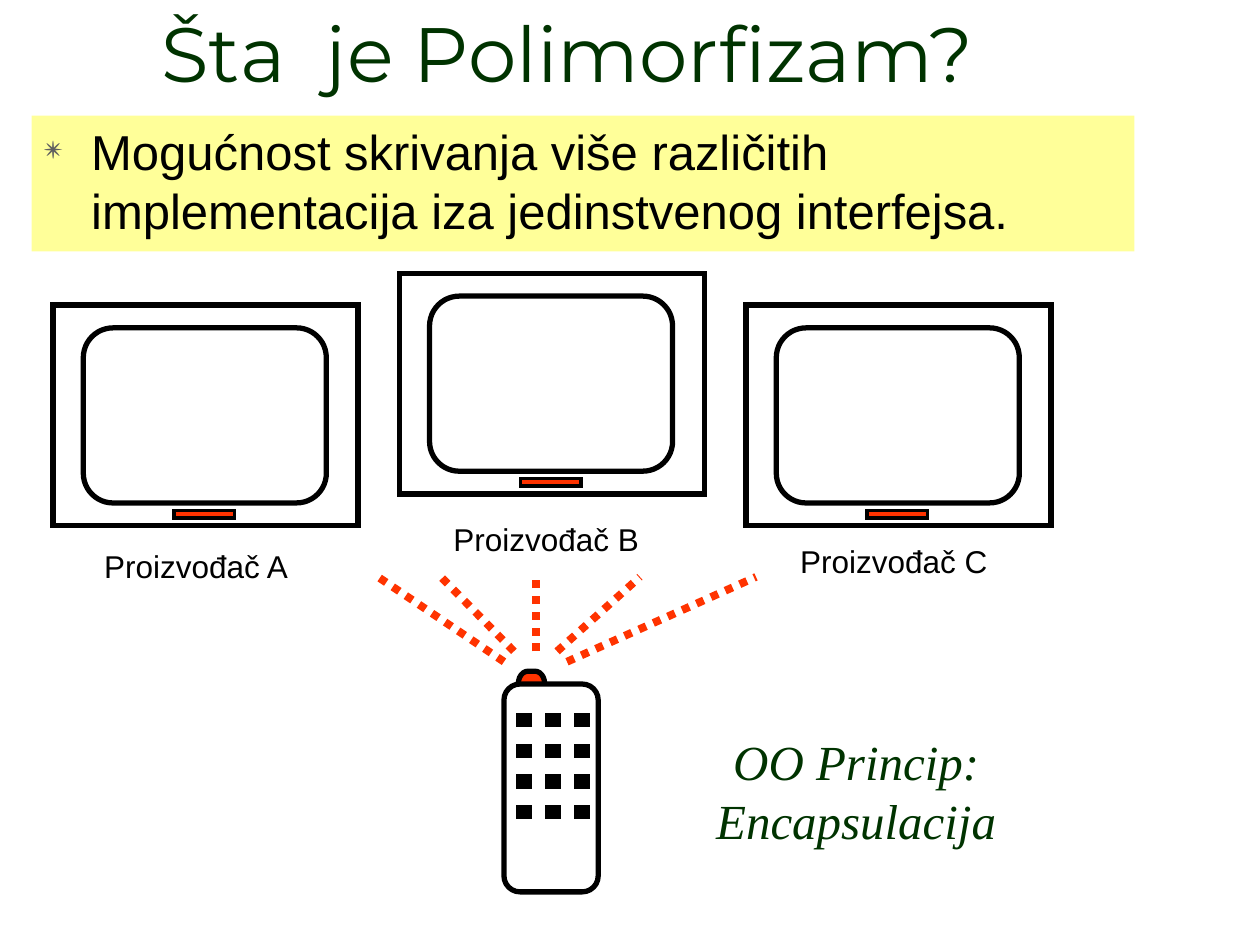
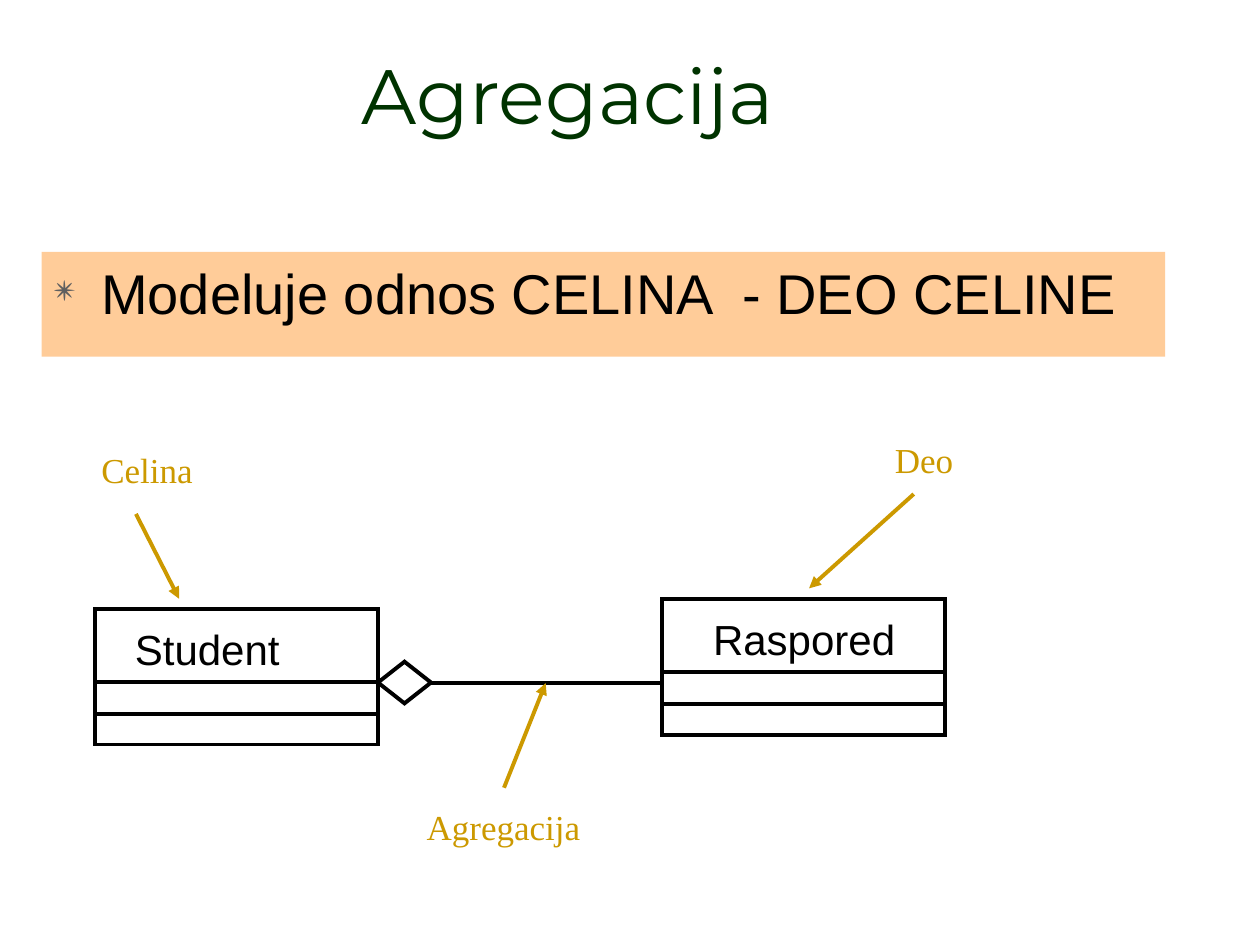
"""Build two slides on polymorphism and aggregation."""
import pptx
import pptx.util
import pptx.dml.color
import pptx.enum.dml
import pptx.enum.shapes
import pptx.enum.text
import pptx.oxml.ns
from dataclasses import dataclass
from lxml import etree

Cm, Pt = pptx.util.Cm, pptx.util.Pt
SHAPE = pptx.enum.shapes.MSO_SHAPE
ALIGN = pptx.enum.text.PP_ALIGN
ANCHOR = pptx.enum.text.MSO_ANCHOR


@dataclass(frozen=True)
class Theme:
    ink: str = "000000"
    green: str = "003300"
    red: str = "FF3300"
    gold: str = "CC9900"
    grey: str = "5F5F5F"
    yellow: str = "FFFF99"
    peach: str = "FFCC99"
    head: str = "Montserrat"
    sans: str = "Arial"
    serif: str = "Times New Roman"
    title: float = 44
    large: float = 32
    body: float = 28
    name: float = 24
    hint: float = 20
    label: float = 18
    beam: float = 4.5
    thick: float = 3
    line: float = 2.25
    lamp: float = 2
    thin: float = 1


T = Theme()
WIDE = (0.3, 0.15)
SLIM = (0.25, 0.13)

POLY = {
    "title": ("Šta  je Polimorfizam?", 0),
    "body": ("Mogućnost skrivanja više različitih implementacija iza jedinstvenog interfejsa.",
             (0.64, 2.33, 22.23, 2.74), T.yellow, T.body),
}
AGGR = {
    "title": ("Agregacija", 0.84),
    "body": ("Modeluje odnos CELINA  - DEO CELINE",
             (0.84, 5.08, 22.65, 2.11), T.peach, T.large),
}
MAKERS = [
    ("Proizvođač A", (1.07, 6.15), (1.85, 10.9)),
    ("Proizvođač B", (8.05, 5.51), (8.89, 10.36)),
    ("Proizvođač C", (15.04, 6.15), (15.88, 10.8)),
]
BEAMS = [
    ((10.16, 13.34), (7.62, 11.63)),
    ((10.36, 13.13), (8.89, 11.63)),
    ((10.8, 13.13), (10.8, 11.63)),
    ((11.23, 13.13), (12.9, 11.63)),
    ((11.43, 13.34), (15.24, 11.63)),
]
RULE = ("OO Princip:\nEncapsulacija", (13.13, 14.6, 8.26, 2.67))
KEYS = {"left": 10.43, "top": 14.39, "across": 0.58, "down": 0.62, "cols": 3, "rows": 4}
CLASSES = [
    ("Student", 1.91, 12.27, ALIGN.LEFT),
    ("Raspored", 13.34, 12.07, ALIGN.CENTER),
]
HINTS = [
    ("Celina", (0.64, 8.89, 4.65, 1.14), (2.74, 10.36), (3.61, 12.07)),
    ("Agregacija", (7.19, 16.08, 5.92, 1.14), (10.16, 15.88), (11, 13.77)),
    ("Deo", (15.67, 8.69, 5.92, 1.14), (18.42, 9.96), (16.31, 11.86)),
]


def color(code):
    return pptx.dml.color.RGBColor.from_string(code)


def add(parent, tag, **attrs):
    return etree.SubElement(parent, pptx.oxml.ns.qn(tag), attrs)


def shape(slide, kind, box, weight, fill=None, adj=None):
    item = slide.shapes.add_shape(kind, *map(Cm, box))
    item.shadow.inherit = False
    if fill:
        item.fill.solid()
        item.fill.fore_color.rgb = color(fill)
    else:
        item.fill.background()
    item.line.color.rgb = color(T.ink)
    item.line.width = Pt(weight)
    add(item.line._get_or_add_ln(), "a:miter", lim="800000")
    if adj is not None:
        item.adjustments[0] = adj
    return item


def line(slide, start, end, tint=T.ink, weight=T.line, dots=False, arrow=False):
    item = slide.shapes.add_connector(
        pptx.enum.shapes.MSO_CONNECTOR.STRAIGHT, *map(Cm, (*start, *end)))
    item.line.color.rgb = color(tint)
    item.line.width = Pt(weight)
    if dots:
        item.line.dash_style = pptx.enum.dml.MSO_LINE.ROUND_DOT
    if arrow:
        add(item.line._get_or_add_ln(), "a:tailEnd", type="triangle")
    add(item._element.spPr, "a:effectLst")


def text(slide, words, box, size, face=T.sans, tint=T.ink, align=ALIGN.LEFT,
         pad=SLIM, anchor=ANCHOR.TOP, slant=False, star=False):
    item = slide.shapes.add_textbox(*map(Cm, box))
    frame = item.text_frame
    frame.word_wrap = True
    frame.vertical_anchor = anchor
    frame.margin_left = frame.margin_right = Cm(pad[0])
    frame.margin_top = frame.margin_bottom = Cm(pad[1])
    para = frame.paragraphs[0]
    para.text = words
    para.alignment = align
    if star:
        props = para._p.get_or_add_pPr()
        props.set("marL", str(Cm(0.95)))
        props.set("indent", str(Cm(-0.95)))
        add(add(props, "a:buClr"), "a:srgbClr", val=T.grey)
        add(props, "a:buSzPct", val="65000")
        add(props, "a:buChar", char="✴")
    para.font.size = Pt(size)
    para.font.name = face
    para.font.color.rgb = color(tint)
    para.font.italic = slant
    return item


def start(deck, data):
    slide = deck.slides.add_slide(deck.slide_layouts[6])
    words, top = data["title"]
    text(slide, words, (1.07, top, 20.75, 2.11), T.title, T.head, T.green,
         ALIGN.CENTER, anchor=ANCHOR.BOTTOM)
    words, box, fill, size = data["body"]
    band = text(slide, words, box, size, star=True)
    band.fill.solid()
    band.fill.fore_color.rgb = color(fill)
    return slide


def remote(slide):
    bulb = shape(slide, SHAPE.RIGHT_BRACKET, (10.59, 13.39, 0.25, 0.53),
                 T.thick, T.red, 0.78)
    bulb.rotation = 270
    shape(slide, SHAPE.ROUNDED_RECTANGLE, (10.16, 13.79, 1.9, 4.19), T.thick, adj=0.17)
    for row in range(KEYS["rows"]):
        for col in range(KEYS["cols"]):
            left = KEYS["left"] + col * KEYS["across"]
            top = KEYS["top"] + row * KEYS["down"]
            shape(slide, SHAPE.RECTANGLE, (left, top, 0.28, 0.25), T.thin, T.ink)


def screen(slide, left, top):
    shape(slide, SHAPE.RECTANGLE, (left, top, 6.15, 4.45), T.thick)
    shape(slide, SHAPE.ROUNDED_RECTANGLE, (left + 0.61, top + 0.46, 4.9, 3.53),
          T.thick, adj=0.17)
    shape(slide, SHAPE.RECTANGLE, (left + 2.44, top + 4.14, 1.22, 0.15), T.lamp, T.red)


def poly(deck):
    slide = start(deck, POLY)
    remote(slide)
    for name, spot, label in MAKERS:
        screen(slide, *spot)
        text(slide, name, (*label, 4.8, 1.02), T.label)
    for base, tip in BEAMS:
        line(slide, base, tip, T.red, T.beam, dots=True)
    words, box = RULE
    text(slide, words, box, T.body, T.serif, T.green, ALIGN.CENTER, WIDE, slant=True)


def aggr(deck):
    slide = start(deck, AGGR)
    for name, left, top, align in CLASSES:
        shape(slide, SHAPE.RECTANGLE, (left, top, 5.72, 2.74), T.line)
        text(slide, name, (left + 0.56, top + 0.17, 4.62, 1.27), T.name, align=align)
        for drop in (1.47, 2.13):
            line(slide, (left, top + drop), (left + 5.72, top + drop))
    line(slide, (8.69, 13.77), (13.34, 13.77))
    shape(slide, SHAPE.DIAMOND, (7.62, 13.34, 1.07, 0.84), T.line)
    for words, box, tail, tip in HINTS:
        text(slide, words, box, T.hint, T.serif, T.gold, ALIGN.CENTER, WIDE)
        line(slide, tail, tip, T.gold, arrow=True)


def main():
    deck = pptx.Presentation()
    deck.slide_width, deck.slide_height = Cm(25.4), Cm(19.05)
    poly(deck)
    aggr(deck)
    deck.save("out.pptx")


if __name__ == "__main__":
    main()
